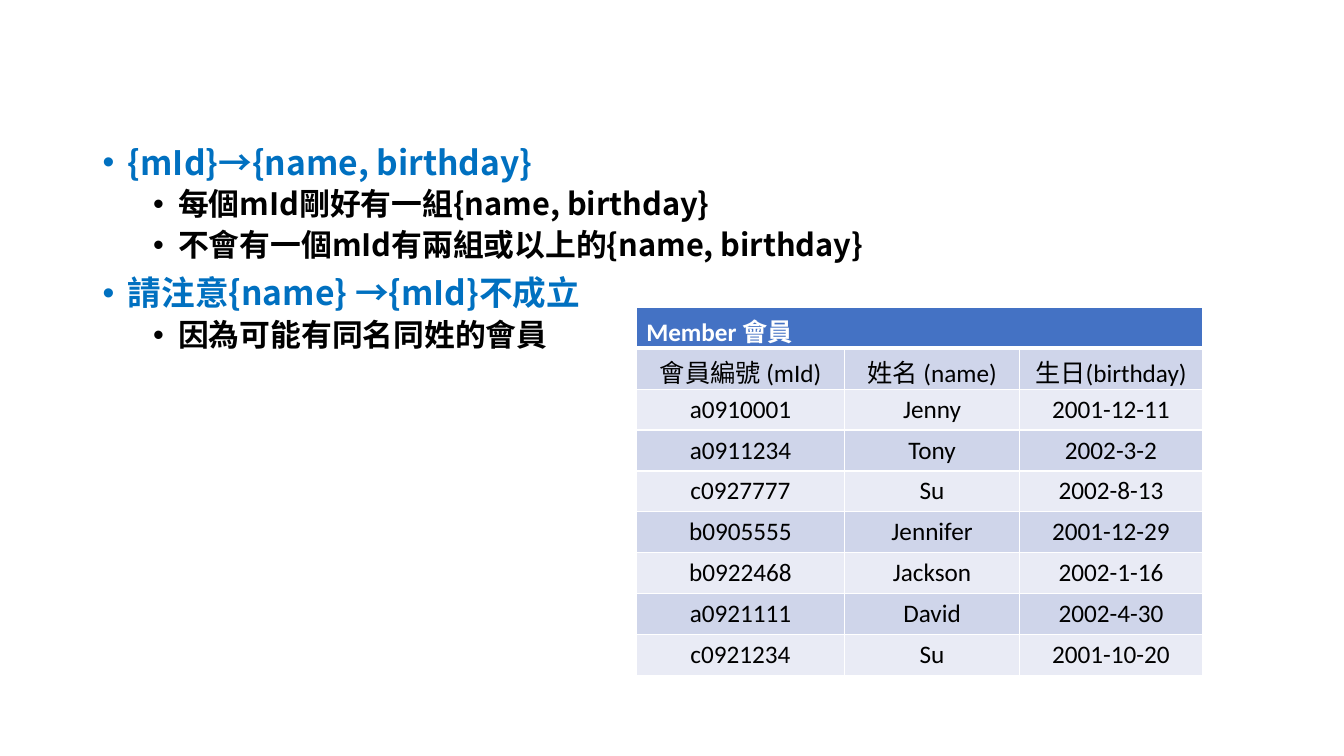
from lxml import etree
from pptx import Presentation
from pptx import util as u
from pptx.dml.color import RGBColor
from pptx.enum import text
from pptx.oxml import ns

BLUE = RGBColor(0x00, 0x70, 0xC0)
BLACK = RGBColor(0, 0, 0)
WHITE = RGBColor(0xFF, 0xFF, 0xFF)
HEADER_FILL = RGBColor(0x44, 0x72, 0xC4)
BAND_FILLS = (RGBColor(0xCF, 0xD5, 0xEA), RGBColor(0xE9, 0xEB, 0xF5))
CJK_FONT = "Noto Sans CJK SC"
TABLE_FONT = "Calibri"

# Indent level and wording of each bullet
BULLETS = [
    (0, "{mId}→{name, birthday}"),
    (1, "每個mId剛好有一組{name, birthday}"),
    (1, "不會有一個mId有兩組或以上的{name, birthday}"),
    (0, "請注意{name} →{mId}不成立"),
    (1, "因為可能有同名同姓的會員"),
]
# Size, colour, left indent and space before of each level
LEVELS = [(24, BLUE, 0.25, 10), (22, BLACK, 0.75, 5)]

TABLE_TITLE = "Member 會員"
MEMBERS = [
    ("會員編號 (mId)", "姓名 (name)", "生日(birthday)"),
    ("a0910001", "Jenny", "2001-12-11"),
    ("a0911234", "Tony", "2002-3-2"),
    ("c0927777", "Su", "2002-8-13"),
    ("b0905555", "Jennifer", "2001-12-29"),
    ("b0922468", "Jackson", "2002-1-16"),
    ("a0921111", "David", "2002-4-30"),
    ("c0921234", "Su", "2001-10-20"),
]
COLUMN_WIDTHS = (2.07, 1.73, 1.82)


def add_element(parent, tag, **attributes):
    return etree.SubElement(parent, ns.qn(tag), attributes)


def write(paragraph, wording, size, color, font=CJK_FONT, bold=False, align=None):
    paragraph.alignment = align
    run = paragraph.add_run()
    run.text = wording
    run.font.size = u.Pt(size)
    run.font.bold = bold
    run.font.color.rgb = color
    run.font.name = font
    add_element(run.font._element, "a:ea", typeface=CJK_FONT)


def add_bullet(paragraph, indent):
    properties = paragraph._p.get_or_add_pPr()
    properties.set("marL", str(u.Inches(indent)))
    properties.set("indent", str(u.Inches(-0.25)))
    add_element(properties, "a:buFont", typeface="Arial")
    add_element(properties, "a:buChar", char="•")


def add_bullet_list(slide, left, top, width, height):
    box = slide.shapes.add_textbox(*map(u.Inches, (left, top, width, height)))
    frame = box.text_frame
    frame.word_wrap = True
    for index, (level, wording) in enumerate(BULLETS):
        size, color, indent, space = LEVELS[level]
        paragraph = frame.add_paragraph() if index else frame.paragraphs[0]
        paragraph.level = level
        add_bullet(paragraph, indent)
        paragraph.line_spacing = 0.9
        paragraph.space_before = u.Pt(space if index else 0)
        write(paragraph, wording, size, color, bold=True)


def format_cell(cell, fill, top=1, bottom=1):
    properties = cell._tc.get_or_add_tcPr()
    for side, width in (("L", 1), ("R", 1), ("T", top), ("B", bottom)):
        line = add_element(properties, "a:ln" + side, w=str(u.Pt(width)))
        add_element(add_element(line, "a:solidFill"), "a:srgbClr", val=str(WHITE))
    cell.fill.solid()
    cell.fill.fore_color.rgb = fill


def add_member_table(slide, left, top, width, height):
    frame = slide.shapes.add_table(len(MEMBERS) + 1, len(COLUMN_WIDTHS),
                                   *map(u.Inches, (left, top, width, height)))
    table = frame.table
    for column, column_width in zip(table.columns, COLUMN_WIDTHS):
        column.width = u.Inches(column_width)

    # Title row across all columns
    for cell in table.rows[0].cells:
        format_cell(cell, HEADER_FILL, bottom=3)
    title = table.cell(0, 0)
    title.merge(table.cell(0, len(COLUMN_WIDTHS) - 1))
    write(title.text_frame.paragraphs[0], TABLE_TITLE, 18, WHITE, TABLE_FONT, bold=True)

    # Column names and members in alternating bands
    for row, values in enumerate(MEMBERS):
        for column, value in enumerate(values):
            cell = table.cell(row + 1, column)
            format_cell(cell, BAND_FILLS[row % 2], top=1 if row else 3)
            write(cell.text_frame.paragraphs[0], value, 18, BLACK, TABLE_FONT,
                  align=text.PP_ALIGN.CENTER)


def main():
    presentation = Presentation()
    presentation.slide_width = u.Inches(13.33)
    presentation.slide_height = u.Inches(7.5)
    slide = presentation.slides.add_slide(presentation.slide_layouts[6])
    add_bullet_list(slide, 0.92, 1.4, 11.5, 5.55)
    add_member_table(slide, 6.31, 3.05, sum(COLUMN_WIDTHS), 3.65)
    presentation.save("out.pptx")


if __name__ == "__main__":
    main()
